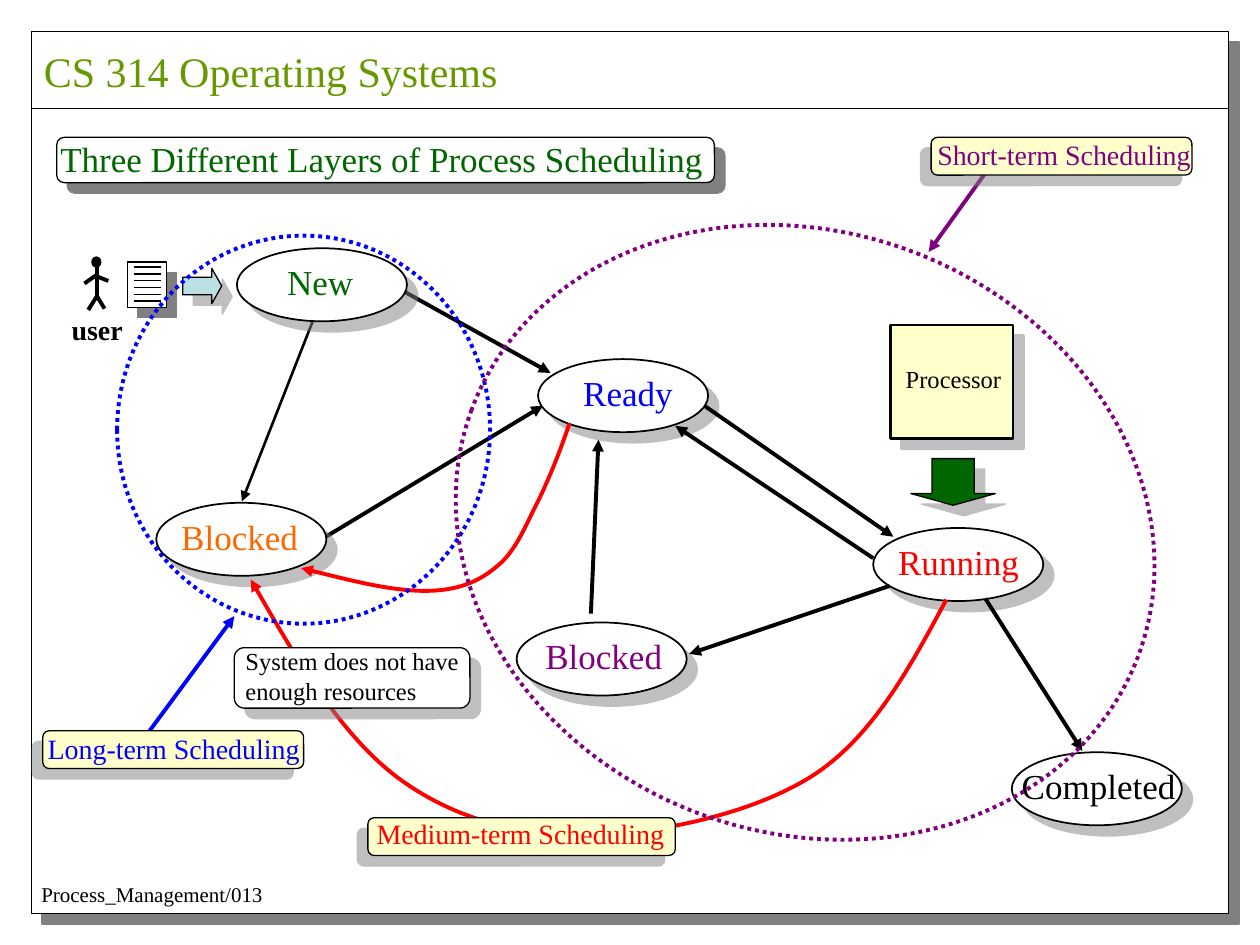
"""Build a slide on the three layers of process scheduling."""
from lxml import etree
from pptx import Presentation
from pptx import util as u
from pptx.dml.color import RGBColor
from pptx.enum import dml, shapes, text
from pptx.oxml import ns

THEME = {
    "font": "Times New Roman",
    "black": "000000", "white": "FFFFFF", "gray": "808080", "olive": "669900",
    "green": "006600", "blue": "0000FF", "red": "FF0000", "purple": "800080",
    "orange": "FF6600", "cream": "FFFFCC", "sky": "BBE0E3",
    "title": 24, "heading": 20, "tag": 16, "note": 14, "footer": 12,
    "hair": 0.75, "outline": 1, "medium": 1.5, "bold": 2.25, "shadow": 8.5,
}
KIND = shapes.MSO_SHAPE
FRAME = (0.25, 0.25, 9.5, 7)
RULE_Y = 0.86
STATE_SIZE = (1.35, 0.58)

# name, oval left and top, label left and width, colour
STATES = [
    ("Running", 6.93, 4.19, 7.03, 1.16, "red"),
    ("Ready", 4.27, 2.85, 4.53, 0.91, "blue"),
    ("Blocked", 4.1, 4.94, 4.23, 1.13, "purple"),
    ("Completed", 8.03, 5.97, 8.01, 1.42, "black"),
    ("New", 1.88, 1.97, 2.18, 0.72, "green"),
    ("Blocked", 1.24, 3.99, 1.34, 1.13, "orange"),
]
# start, end, width
ARROWS_BEHIND = [
    ((2.57, 4.27), (4.31, 3.22), "bold"),
    ((2.49, 2.53), (1.92, 3.98), "medium"),
    ((3.2, 2.31), (4.37, 2.96), "bold"),
]
ARROWS_FRONT = [
    ((5.59, 3.22), (7.09, 4.26), "bold"),
    ((7.06, 4.65), (5.47, 5.19), "bold"),
    ((6.93, 4.43), (5.36, 3.38), "bold"),
    ((4.69, 4.87), (4.75, 3.49), "bold"),
    ((7.82, 4.75), (8.59, 5.96), "bold"),
]
# start point, then two control points and an end for each segment
SWAP_CURVES = [
    [(7.51, 4.76), (7.22, 5.3), (6.93, 5.84), (6.46, 6.15),
     (5.98, 6.46), (5.22, 6.62), (4.66, 6.63),
     (4.11, 6.63), (3.59, 6.5), (3.14, 6.16),
     (2.7, 5.82), (2.34, 5.21), (1.99, 4.6)],
    [(4.52, 3.36), (4.45, 3.57), (4.37, 3.77), (4.28, 3.96),
     (4.18, 4.15), (4.1, 4.37), (3.95, 4.49),
     (3.8, 4.62), (3.63, 4.69), (3.37, 4.69),
     (3.11, 4.69), (2.75, 4.6), (2.39, 4.51)],
]
# ring box, rotation, arrow start, arrow end, colour
LAYERS = [
    ((0.93, 1.87, 2.96, 3.08), 0, (1.18, 5.81), (1.86, 4.89), "blue"),
    ((3.57, 1.84, 5.64, 4.77), 20, (7.83, 1.36), (7.37, 2), "purple"),
]
# text, box, label box, size, colour, fill, shadow opacity and angle
TAGS = [
    ("Three Different Layers of Process Scheduling", (0.45, 1.09, 5.22, 0.36),
     (0.38, 1.04, 5.31, 0.44), "heading", "green", "white", (100, 45)),
    ("System does not have\nenough resources", (1.86, 5.14, 1.87, 0.48),
     (1.85, 5.08, 1.94, 0.57), "note", "black", "white", (50, 45)),
    ("Long-term Scheduling", (0.34, 5.8, 2.07, 0.3),
     (0.28, 5.76, 2.2, 0.37), "tag", "blue", "cream", (50, 135)),
    ("Short-term Scheduling", (7.39, 1.09, 2.07, 0.3),
     (7.34, 1.04, 2.21, 0.37), "tag", "purple", "cream", (50, 135)),
    ("Medium-term Scheduling", (2.92, 6.49, 2.44, 0.3),
     (2.89, 6.43, 2.48, 0.37), "tag", "red", "cream", (50, 135)),
]
USER_LIMBS = [
    ((0.77, 2.09), (0.77, 2.35)), ((0.77, 2.35), (0.7, 2.46)),
    ((0.77, 2.35), (0.83, 2.45)), ((0.77, 2.18), (0.67, 2.25)),
    ((0.76, 2.19), (0.86, 2.23)),
]


def color(name):
    return RGBColor.from_string(THEME[name])


def inches(values):
    return [u.Inches(value) for value in values]


def style_line(item, name, width, arrow=False):
    item.line.color.rgb = color(name)
    item.line.width = u.Pt(THEME[width])
    if arrow:
        etree.SubElement(item.line._get_or_add_ln(), ns.qn("a:tailEnd"), type="triangle")


def add_line(parent, start, end, name="black", width="bold", arrow=False):
    line = parent.shapes.add_connector(
        shapes.MSO_CONNECTOR.STRAIGHT, *inches(start + end))
    style_line(line, name, width, arrow)
    etree.SubElement(line._element.spPr, ns.qn("a:effectLst"))


def add_box(parent, kind, at, fill=None, line="black", width="hair", shadow=None):
    box = parent.shapes.add_shape(kind, *inches(at))
    box.shadow.inherit = False
    if fill:
        box.fill.solid()
        box.fill.fore_color.rgb = color(fill)
    else:
        box.fill.background()
    style_line(box, line, width)
    if shadow:
        opacity, angle = shadow
        effects = box._element.spPr.find(ns.qn("a:effectLst"))
        outer = etree.SubElement(
            effects, ns.qn("a:outerShdw"), dist=str(u.Pt(THEME["shadow"])),
            dir=str(angle * 60000), algn="ctr", rotWithShape="0")
        tone = etree.SubElement(outer, ns.qn("a:srgbClr"), val=THEME["gray"])
        etree.SubElement(tone, ns.qn("a:alpha"), val=str(opacity * 1000))
    return box


def add_text(parent, content, at, size="heading", name="black", bold=False):
    frame = parent.shapes.add_textbox(*inches(at)).text_frame
    frame.word_wrap = False
    frame.auto_size = text.MSO_AUTO_SIZE.NONE
    frame.margin_right = 0
    frame.text = content
    for para in frame.paragraphs:
        para.alignment = text.PP_ALIGN.LEFT
        for span in para.runs:
            span.font.name = THEME["font"]
            span.font.size = u.Pt(THEME[size])
            span.font.color.rgb = color(name)
            span.font.bold = bold


def add_curve(page, points):
    start, *rest = [inches(point) for point in points]
    builder = page.shapes.build_freeform(*start)
    builder.add_line_segments(rest, close=False)
    curve = builder.convert_to_shape()
    curve.shadow.inherit = False
    curve.fill.background()
    style_line(curve, "red", "bold", arrow=True)
    steps = list(curve._element.iter(ns.qn("a:lnTo")))
    for first, second, third in zip(steps[::3], steps[1::3], steps[2::3]):
        first.tag = ns.qn("a:cubicBezTo")
        for step in (second, third):
            first.append(step[0])
            step.getparent().remove(step)


def add_user(page):
    user = page.shapes.add_group_shape()
    add_box(user, KIND.OVAL, (0.73, 2.04, 0.07, 0.08), "black")
    for start, end in USER_LIMBS:
        add_line(user, start, end)
    add_text(user, "user", (0.47, 2.43, 0.6, 0.37), "tag", bold=True)
    program = page.shapes.add_group_shape()
    add_box(program, KIND.RECTANGLE, (1.01, 2.08, 0.31, 0.36), "white", shadow=(100, 45))
    for row in range(6):
        y = 2.12 + row * 0.054
        add_line(program, (1.06, y), (1.28, y), width="hair")
    arrow = add_box(page, KIND.RIGHT_ARROW, (1.45, 2.13, 0.31, 0.28), "sky", shadow=(50, 45))
    arrow.adjustments[1] = 0.28


def add_processor(page):
    processor = page.shapes.add_group_shape()
    add_box(processor, KIND.RECTANGLE, (7.07, 2.58, 0.97, 0.9), "cream",
            width="medium", shadow=(50, 45))
    add_text(processor, "Processor", (7.09, 2.84, 0.96, 0.34), "note")
    arrow = add_box(page, KIND.DOWN_ARROW, (7.23, 3.64, 0.67, 0.37), "green", shadow=(50, 45))
    arrow.adjustments[1] = 0.25


def main():
    deck = Presentation()
    deck.slide_width, deck.slide_height = inches((10, 7.5))
    page = deck.slides.add_slide(deck.slide_layouts[6])
    add_box(page, KIND.RECTANGLE, FRAME, "white", shadow=(100, 45))
    for start, end, width in ARROWS_BEHIND:
        add_line(page, start, end, width=width, arrow=True)
    add_line(page, (FRAME[0], RULE_Y), (FRAME[0] + FRAME[2], RULE_Y), width="hair")
    add_text(page, "Process_Management/013", (0.23, 6.95, 1.96, 0.3), "footer")
    add_text(page, "CS 314 Operating Systems", (0.25, 0.31, 3.8, 0.5), "title", "olive")
    for label, left, top, label_left, label_width, name in STATES:
        state = page.shapes.add_group_shape()
        add_box(state, KIND.OVAL, (left, top, *STATE_SIZE), "white",
                width="outline", shadow=(50, 45))
        add_text(state, label, (label_left, top + 0.05, label_width, 0.44), name=name)
    for start, end, width in ARROWS_FRONT:
        add_line(page, start, end, width=width, arrow=True)
    add_user(page)
    add_processor(page)
    for points in SWAP_CURVES:
        add_curve(page, points)
    for at, turn, start, end, name in LAYERS:
        layer = page.shapes.add_group_shape()
        ring = add_box(layer, KIND.OVAL, at, line=name, width="bold")
        ring.rotation = turn
        ring.line.dash_style = dml.MSO_LINE.ROUND_DOT
        add_line(layer, start, end, name, arrow=True)
    for label, at, label_at, size, name, fill, shadow in TAGS:
        tag = page.shapes.add_group_shape()
        add_box(tag, KIND.ROUNDED_RECTANGLE, at, fill, shadow=shadow)
        add_text(tag, label, label_at, size, name)
    deck.save("out.pptx")


if __name__ == "__main__":
    main()
